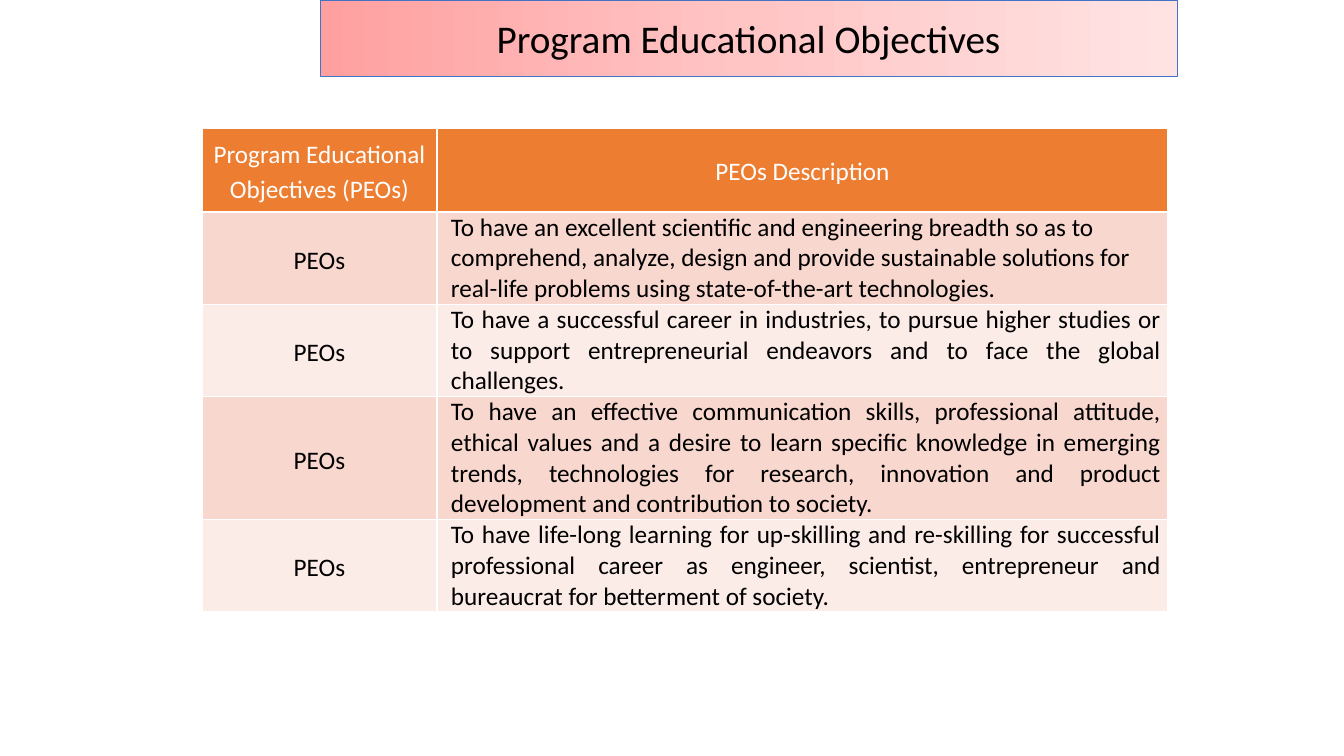
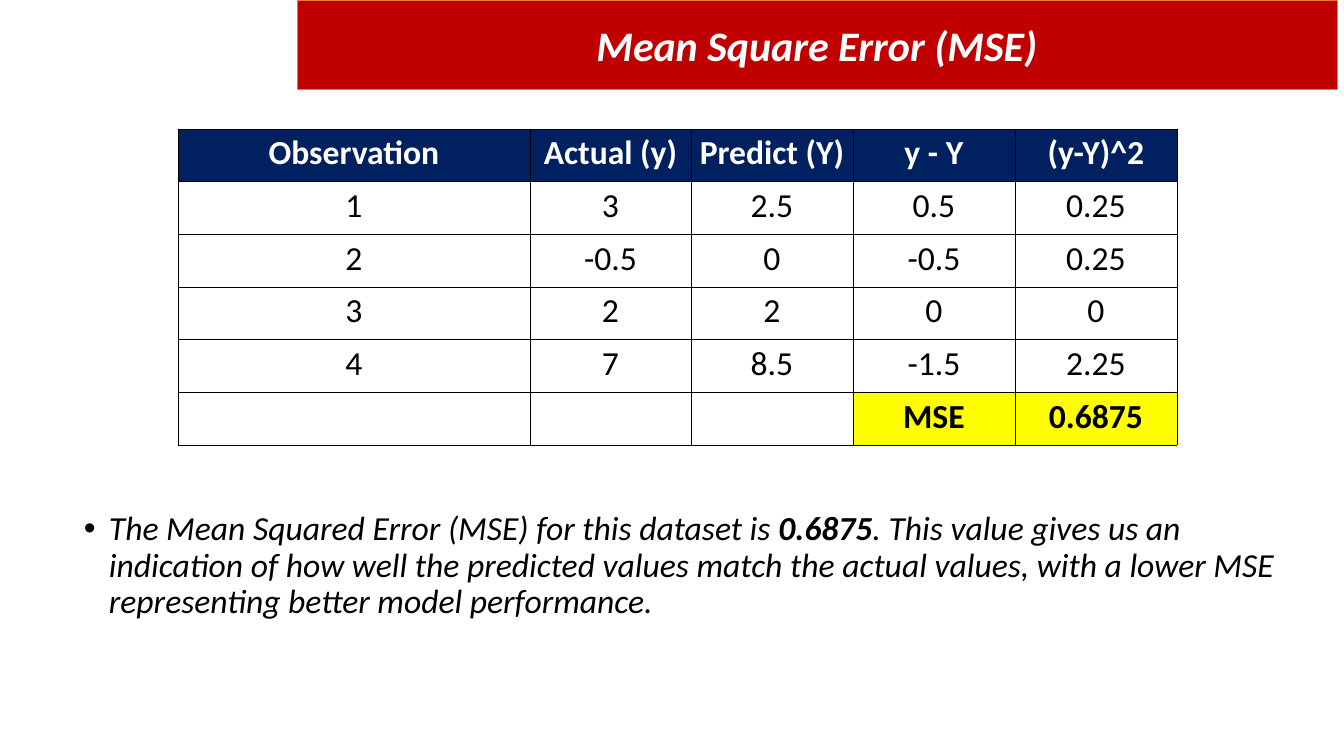
import copy
from dataclasses import dataclass
from typing import Any, NamedTuple, Optional

import pptx
import pptx.util
from lxml import etree
from pptx.dml.color import RGBColor
from pptx.enum.text import MSO_ANCHOR, MSO_AUTO_SIZE, PP_ALIGN
from pptx.oxml.ns import qn

# Shared colours, font and scale
BLACK = RGBColor(0x00, 0x00, 0x00)
WHITE = RGBColor(0xFF, 0xFF, 0xFF)
ORANGE = RGBColor(0xED, 0x7D, 0x31)
BLUE = RGBColor(0x44, 0x72, 0xC4)
RED = RGBColor(0xC0, 0x00, 0x00)
NAVY = RGBColor(0x00, 0x20, 0x60)
YELLOW = RGBColor(0xFF, 0xFF, 0x00)
PEACH = RGBColor(0xF8, 0xD7, 0xCE)
PALE_PEACH = RGBColor(0xFC, 0xEC, 0xE8)
PINKS = (RGBColor(0xFF, 0xA0, 0xA0), RGBColor(0xFF, 0xC5, 0xC5), RGBColor(0xFF, 0xE3, 0xE3))
FONT = "Calibri"
SLIDE_W, SLIDE_H = 1344, 756
EMU_PER_PX = 12192000 / SLIDE_W


class Box(NamedTuple):
    left: int
    top: int
    width: int
    height: int


class CellLook(NamedTuple):
    fill: Optional[RGBColor] = None
    color: RGBColor = BLACK
    bold: bool = False
    align: PP_ALIGN = PP_ALIGN.CENTER
    line_spacing: float = 1.0
    indent: int = 0


@dataclass
class TitleBand:
    text: str
    box: Box
    fills: tuple[RGBColor, ...]
    line: RGBColor
    size: int
    color: RGBColor
    emphasis: bool = False


@dataclass
class Grid:
    left: int
    top: int
    col_widths: tuple[int, ...]
    height: int
    rows: list[list[tuple[str, CellLook]]]
    size: int
    margins: tuple[int, int, int, int]
    border: RGBColor
    border_pt: float
    row_heights: tuple[int, ...] = ()


def px(n: int) -> int:
    return round(n * EMU_PER_PX)


def apply(target: Any, values: dict[str, Any]) -> None:
    for name, value in values.items():
        setattr(target, name, value)


def add_run(p: Any, text: str, size: int, color: RGBColor,
            bold: bool = False, italic: bool = False) -> None:
    r = p.add_run()
    r.text = text
    apply(r.font, {"name": FONT, "size": pptx.util.Pt(size), "bold": bold, "italic": italic})
    r.font.color.rgb = color


def fill_shape(sp: Any, colors: tuple[RGBColor, ...]) -> None:
    """One colour fills solid; several make an even left-to-right gradient."""
    if len(colors) == 1:
        sp.fill.solid()
        sp.fill.fore_color.rgb = colors[0]
        return
    sp.fill.gradient()
    sp.fill.gradient_angle = 0
    stops = next(sp._element.iter(qn("a:gsLst")))
    while len(stops) < len(colors):
        stops.append(copy.deepcopy(stops[-1]))
    for i, (stop, color) in enumerate(zip(sp.fill.gradient_stops, colors)):
        stop.color.rgb = color
        stop.position = i / (len(colors) - 1)


def add_titled_slide(prs: Any, band: TitleBand) -> Any:
    s = prs.slides.add_slide(prs.slide_layouts[5])
    sp = s.shapes.title
    apply(sp, {name: px(n) for name, n in band.box._asdict().items()})
    fill_shape(sp, band.fills)
    sp.line.color.rgb = band.line
    sp.line.width = pptx.util.Pt(0.5)
    tf = sp.text_frame
    apply(tf, {"word_wrap": True, "auto_size": MSO_AUTO_SIZE.NONE,
               "vertical_anchor": MSO_ANCHOR.MIDDLE})
    p = tf.paragraphs[0]
    p.alignment = PP_ALIGN.CENTER
    add_run(p, band.text, band.size, band.color, band.emphasis, band.emphasis)
    return s


def add_borders(cell: Any, color: RGBColor, width_pt: float) -> None:
    tc_pr = cell._tc.get_or_add_tcPr()
    for i, side in enumerate(("a:lnL", "a:lnR", "a:lnT", "a:lnB")):
        ln = etree.Element(qn(side), w=str(int(pptx.util.Pt(width_pt))))
        solid = etree.SubElement(ln, qn("a:solidFill"))
        etree.SubElement(solid, qn("a:srgbClr"), val=str(color))
        tc_pr.insert(i, ln)


def fill_cell(cell: Any, text: str, look: CellLook, grid: Grid) -> None:
    left, top, right, bottom = (px(n) for n in grid.margins)
    apply(cell, {"margin_left": left, "margin_top": top, "margin_right": right,
                 "margin_bottom": bottom, "vertical_anchor": MSO_ANCHOR.MIDDLE})
    if look.fill is None:
        cell.fill.background()
    else:
        cell.fill.solid()
        cell.fill.fore_color.rgb = look.fill
    add_borders(cell, grid.border, grid.border_pt)
    if not text:
        return
    p = cell.text_frame.paragraphs[0]
    apply(p, {"alignment": look.align, "line_spacing": look.line_spacing})
    if look.indent:
        p._p.get_or_add_pPr().set("marL", str(px(look.indent)))
    add_run(p, text, grid.size, look.color, look.bold)


def add_grid(s: Any, grid: Grid) -> None:
    frame = s.shapes.add_table(len(grid.rows), len(grid.col_widths), px(grid.left), px(grid.top),
                               px(sum(grid.col_widths)), px(grid.height))
    table = frame.table
    table.horz_banding = False
    for column, width in zip(table.columns, grid.col_widths):
        column.width = px(width)
    for row, height in zip(table.rows, grid.row_heights):
        row.height = px(height)
    for i, row_cells in enumerate(grid.rows):
        for j, (text, look) in enumerate(row_cells):
            fill_cell(table.cell(i, j), text, look, grid)


def add_bullet(s: Any, box: Box, runs: list[tuple[str, bool]]) -> None:
    tf = s.shapes.add_textbox(*(px(n) for n in box)).text_frame
    tf.word_wrap = True
    p = tf.paragraphs[0]
    p.line_spacing = 0.9
    p_pr = p._p.get_or_add_pPr()
    p_pr.set("marL", str(px(25)))
    p_pr.set("indent", str(px(-25)))
    etree.SubElement(p_pr, qn("a:buFont"), typeface="Arial")
    etree.SubElement(p_pr, qn("a:buChar"), char="•")
    for text, bold in runs:
        add_run(p, text, 24, BLACK, bold, italic=True)


# Slide 1: objectives
OBJECTIVES = [
    "To have an excellent scientific and engineering breadth so as to comprehend, analyze, "
    "design and provide sustainable solutions for real-life problems using "
    "state-of-the-art technologies.",
    "To have a successful career in industries, to pursue higher studies or to support "
    "entrepreneurial endeavors and to face the global challenges.",
    "To have an effective communication skills, professional attitude, ethical values and a "
    "desire to learn specific knowledge in emerging trends, technologies for research, "
    "innovation and product development and contribution to society.",
    "To have life-long learning for up-skilling and re-skilling for successful professional "
    "career as engineer, scientist, entrepreneur and bureaucrat for betterment of society.",
]


def build_objectives(prs: Any) -> None:
    s = add_titled_slide(prs, TitleBand("Program Educational Objectives", Box(320, 0, 857, 76),
                                        PINKS, BLUE, 28, BLACK))
    header = CellLook(ORANGE, WHITE, line_spacing=1.15)
    rows = [[("Program Educational Objectives (PEOs)", header), ("PEOs Description", header)]]
    for i, objective in enumerate(OBJECTIVES):
        fill = PALE_PEACH if i % 2 else PEACH
        align = PP_ALIGN.JUSTIFY if i else PP_ALIGN.LEFT
        rows.append([("PEOs", CellLook(fill, line_spacing=1.15)),
                     (objective, CellLook(fill, align=align, indent=7))])
    heights = (84, 92, 92, 123, 92)
    add_grid(s, Grid(202, 128, (235, 731), sum(heights), rows, 18, (7, 0, 7, 0),
                     WHITE, 1, heights))


# Slide 2: mean square error
OBSERVATIONS = [
    ["1", "3", "2.5", "0.5", "0.25"],
    ["2", "-0.5", "0", "-0.5", "0.25"],
    ["3", "2", "2", "0", "0"],
    ["4", "7", "8.5", "-1.5", "2.25"],
]


def build_mean_square_error(prs: Any) -> None:
    s = add_titled_slide(prs, TitleBand("Mean Square Error (MSE)", Box(297, 0, 1040, 89),
                                        (RED,), ORANGE, 30, WHITE, emphasis=True))
    header, plain = CellLook(NAVY, WHITE, bold=True), CellLook()
    result = CellLook(YELLOW, bold=True)
    titles = ["Observation", "Actual (y)", "Predict (Y)", "y - Y", "(y-Y)^2"]
    rows = [[(text, header) for text in titles]]
    rows += [[(text, plain) for text in values] for values in OBSERVATIONS]
    rows.append([("", plain)] * 3 + [("MSE", result), ("0.6875", result)])
    add_grid(s, Grid(178, 129, (352, 161, 162, 162, 162), 316, rows, 24, (1, 1, 1, 5),
                     BLACK, 0.5))
    add_bullet(s, Box(74, 507, 1246, 120), [
        ("The Mean Squared Error (MSE) for this dataset is ", False),
        ("0.6875", True),
        (". This value gives us an indication of how well the predicted values match the "
         "actual values, with a lower MSE representing better model performance.", False),
    ])


def main() -> None:
    prs = pptx.Presentation()
    apply(prs, {"slide_width": px(SLIDE_W), "slide_height": px(SLIDE_H)})
    build_objectives(prs)
    build_mean_square_error(prs)
    prs.save("out.pptx")


if __name__ == "__main__":
    main()
